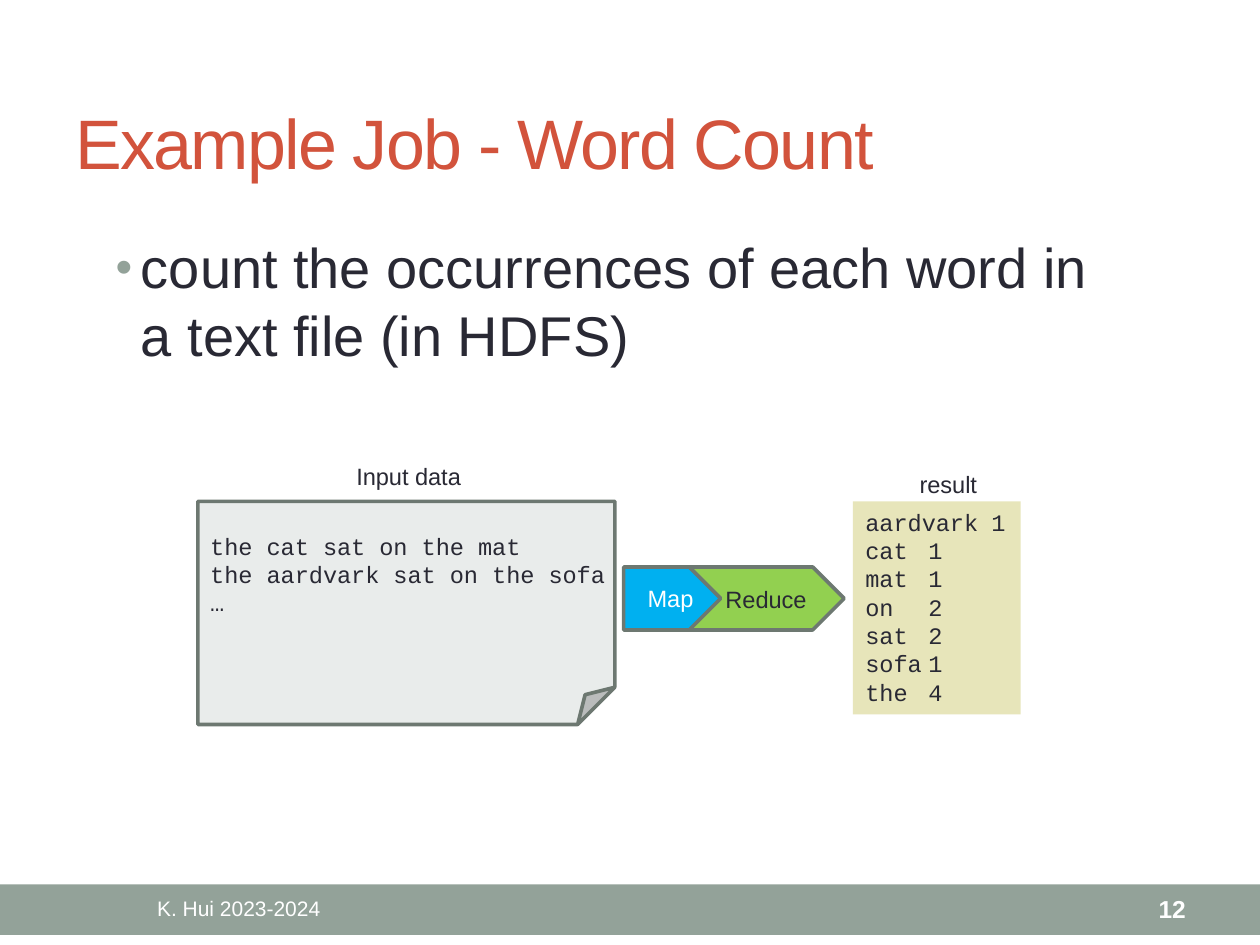
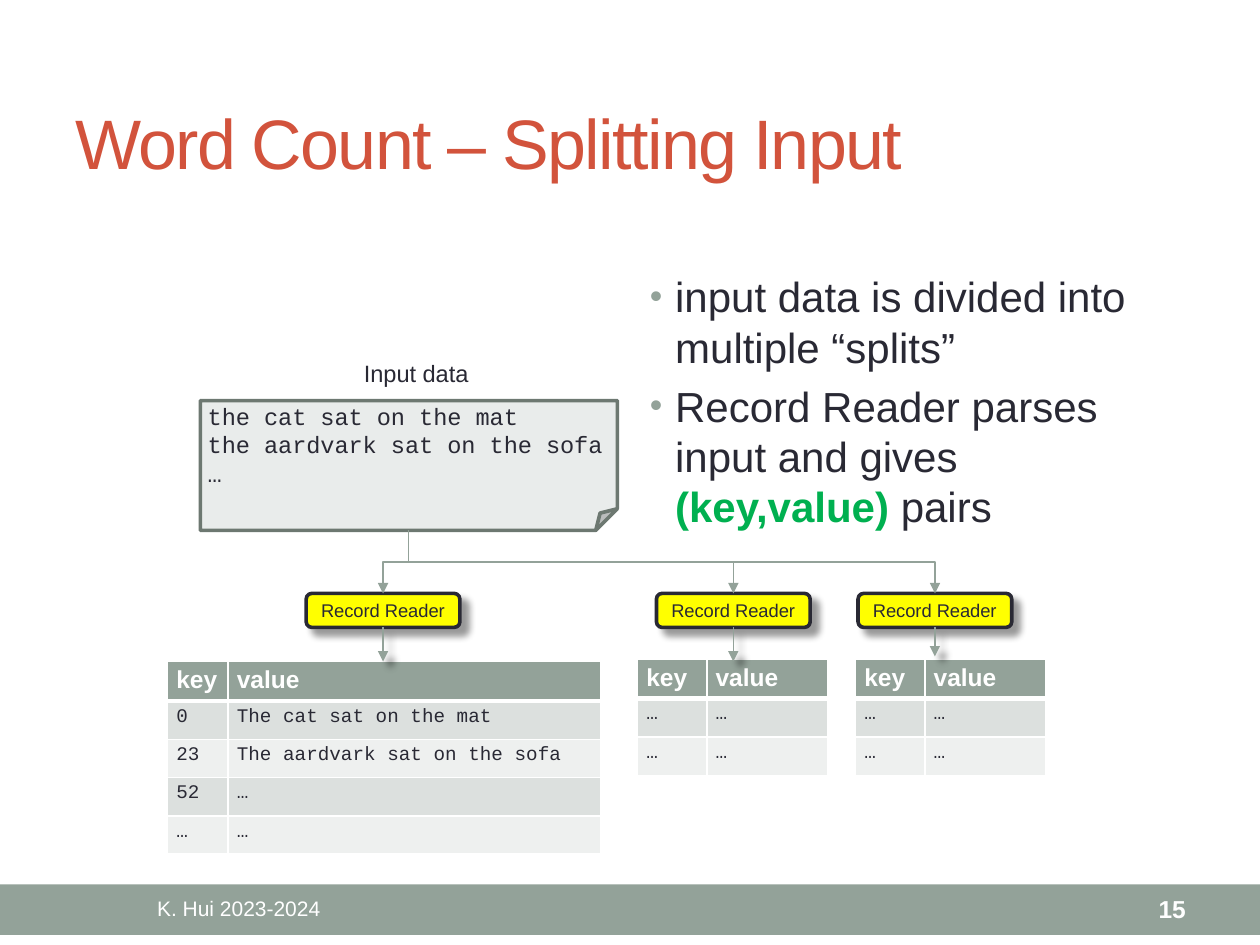
from lxml import etree
from pptx import Presentation
from pptx.dml.color import RGBColor
from pptx.enum.shapes import MSO_CONNECTOR, MSO_SHAPE
from pptx.enum.text import MSO_ANCHOR, PP_ALIGN
from pptx.oxml.ns import qn
from pptx.util import Inches, Pt

LEFT, CENTER, RIGHT = PP_ALIGN.LEFT, PP_ALIGN.CENTER, PP_ALIGN.RIGHT
TOP, MIDDLE = MSO_ANCHOR.TOP, MSO_ANCHOR.MIDDLE
STRAIGHT, ELBOW = MSO_CONNECTOR.STRAIGHT, MSO_CONNECTOR.ELBOW
RECTANGLE, ROUNDED = MSO_SHAPE.RECTANGLE, MSO_SHAPE.ROUNDED_RECTANGLE
FOLDED, PENTAGON, CHEVRON = MSO_SHAPE.FOLDED_CORNER, MSO_SHAPE.PENTAGON, MSO_SHAPE.CHEVRON

COLORS = {
    "sage": "93A299", "outline": "6D7871", "paper": "E9ECEB", "title": "D2533C",
    "ink": "292934", "white": "FFFFFF", "result": "E7E5BA", "map": "00B0F0",
    "reduce": "92D050", "reader": "FFFF00", "accent": "00B050",
    "row_dark": "DCE0DE", "row_light": "EEF0EF", "shadow": "000000",
}
SANS, MONO = "Arial", "Courier New"
LABEL_SIZE = 13.5
OUTLINE_WIDTH = 2.08
INPUT_LINES = ["the cat sat on the mat", "the aardvark sat on the sofa", "…"]
WORD_COUNTS = {"aardvark": 1, "cat": 1, "mat": 1, "on": 2, "sat": 2, "sofa": 1, "the": 4}


def rgb(name):
    """Return the named colour."""
    return RGBColor.from_string(COLORS[name])


def add_xml(parent, tag, **attributes):
    """Append a drawing element to a parent and return it."""
    return etree.SubElement(parent, qn(tag), attributes)


def style_font(font, size, color="ink", name=SANS, bold=False):
    """Set size, colour, typeface and weight of a font."""
    font.size, font.name, font.bold = Pt(size), name, bold
    font.color.rgb = rgb(color)


def write(shape, lines, size, color="ink", name=SANS, bold=False,
          align=LEFT, anchor=TOP, wrap=True):
    """Fill a shape with styled lines of text."""
    frame = shape.text_frame
    frame.word_wrap, frame.vertical_anchor = wrap, anchor
    frame.text = "\n".join(lines)
    for para in frame.paragraphs:
        para.alignment = align
        for span in para.runs:
            style_font(span.font, size, color, name, bold)


def add_text(page, box, lines, size, **style):
    """Add a text box."""
    shape = page.shapes.add_textbox(*map(Inches, box))
    write(shape, lines, size, **style)
    return shape


def add_figure(page, kind, box, fill, line=None):
    """Add a filled preset shape with an optional outline."""
    shape = page.shapes.add_shape(kind, *map(Inches, box))
    shape.shadow.inherit = False
    shape.fill.solid()
    shape.fill.fore_color.rgb = rgb(fill)
    if line:
        shape.line.color.rgb = rgb(line)
        shape.line.width = Pt(OUTLINE_WIDTH)
    else:
        shape.line.fill.background()
    return shape


def add_shadow(properties):
    """Give shape properties a soft shadow to the lower right."""
    for effects in properties.findall(qn("a:effectLst")):
        properties.remove(effects)
    effects = add_xml(properties, "a:effectLst")
    shadow = add_xml(effects, "a:outerShdw", blurRad=str(Pt(4)), dist=str(Pt(6)),
                     dir="2700000", algn="tl", rotWithShape="0")
    color = add_xml(shadow, "a:srgbClr", val=COLORS["shadow"])
    add_xml(color, "a:alpha", val="40000")


def add_arrow(page, kind, start, end):
    """Add a thin connector with a triangle at its end."""
    arrow = page.shapes.add_connector(kind, *map(Inches, (*start, *end)))
    arrow.line.color.rgb = rgb("sage")
    arrow.line.width = Pt(0.75)
    add_xml(arrow.line._ln, "a:tailEnd", type="triangle")
    return arrow


def add_branch(page, start, end):
    """Add an elbow arrow that leaves downwards, runs sideways and drops."""
    (x1, y1), (x2, y2) = start, end
    middle_x, middle_y = (x1 + x2) / 2, (y1 + y2) / 2
    side = 1 if x2 > x1 else -1
    half_width, half_height = side * (y2 - y1) / 2, abs(x2 - x1) / 2
    arrow = add_arrow(page, ELBOW, (middle_x + half_width, middle_y - half_height),
                      (middle_x - half_width, middle_y + half_height))
    properties = arrow._element.spPr
    properties.find(qn("a:xfrm")).set("rot", str((180 + 90 * side) * 60000))
    add_xml(properties, "a:effectLst")


def add_bullets(page, box, bullets, size):
    """Add a bulleted list whose items are lists of (text, accented) pieces."""
    frame = page.shapes.add_textbox(*map(Inches, box)).text_frame
    frame.word_wrap = True
    for number, pieces in enumerate(bullets):
        para = frame.add_paragraph() if number else frame.paragraphs[0]
        properties = para._p.get_or_add_pPr()
        properties.set("marL", str(Inches(0.2)))
        properties.set("indent", str(Inches(-0.2)))
        add_xml(add_xml(properties, "a:buClr"), "a:srgbClr", val=COLORS["sage"])
        add_xml(properties, "a:buSzPct", val="85000")
        add_xml(properties, "a:buFont", typeface=SANS)
        add_xml(properties, "a:buChar", char="•")
        if number:
            para.space_before = Pt(size * 0.2)
        for text, accented in pieces:
            span = para.add_run()
            span.text = text
            style_font(span.font, size, "accent" if accented else "ink", bold=accented)


def add_page(deck, title, number):
    """Add a slide with its title, footer band, author and page number."""
    page = deck.slides.add_slide(deck.slide_layouts[6])
    add_figure(page, RECTANGLE, (0, 7.02, 10, 0.4), "sage")
    heading = add_text(page, (0.5, 0.58, 9, 1.08), [title], 40, color="title", anchor=MIDDLE)
    heading.text_frame.paragraphs[0].runs[0]._r.get_or_add_rPr().set("spc", "-100")
    add_text(page, (0.5, 7.03, 2.79, 0.36), ["K. Hui 2023-2024"], 12,
             color="white", align=CENTER, anchor=MIDDLE)
    add_text(page, (8.34, 7.03, 1.17, 0.36), [str(number)], 14,
             color="white", bold=True, align=RIGHT, anchor=MIDDLE)
    return page


def add_input_file(page, box, label_offset, text_offset):
    """Draw the input file with its label and lines placed relative to its corner."""
    left, top = box[:2]
    add_figure(page, FOLDED, box, "paper", "outline")
    for offset, size, lines, name in (
            (label_offset, (1.04, 0.33), ["Input data"], SANS),
            (text_offset, (3.39, 0.78), INPUT_LINES, MONO)):
        add_text(page, (left + offset[0], top + offset[1], *size), lines,
                 LABEL_SIZE, name=name, wrap=False)


def add_map_reduce(page, left, top):
    """Draw the Map and Reduce steps as interlocking arrows."""
    map_step = add_figure(page, PENTAGON, (left, top, 0.87, 0.5), "map", "outline")
    write(map_step, ["Map"], LABEL_SIZE, color="white", align=CENTER, anchor=MIDDLE)
    add_figure(page, CHEVRON, (left + 0.52, top, 1.23, 0.5), "reduce", "outline")
    add_text(page, (left + 0.71, top + 0.09, 0.87, 0.33), ["Reduce"], LABEL_SIZE)


def add_result(page, left, top):
    """Draw the list of word counts with its label."""
    add_text(page, (left + 0.43, top - 0.3, 0.66, 0.33), ["result"], LABEL_SIZE, wrap=False)
    panel = add_figure(page, RECTANGLE, (left, top, 1.33, 1.69), "result")
    lines = [f"{word}\t{count}" for word, count in WORD_COUNTS.items()]
    write(panel, lines, LABEL_SIZE, name=MONO, wrap=False)


def add_borders(cell, row):
    """Draw white cell borders, heavier below the header row."""
    properties = cell._tc.get_or_add_tcPr()
    heavy = {0: "a:lnB", 1: "a:lnT"}.get(row)
    for place, tag in enumerate(("a:lnL", "a:lnR", "a:lnT", "a:lnB")):
        border = etree.Element(qn(tag), w=str(Pt(3 if tag == heavy else 1)))
        add_xml(add_xml(border, "a:solidFill"), "a:srgbClr", val=COLORS["white"])
        properties.insert(place, border)


def add_pairs(page, box, widths, records):
    """Add a table of key and value pairs."""
    rows = [("key", "value"), *records]
    table = page.shapes.add_table(len(rows), len(widths), *map(Inches, box)).table
    for column, width in zip(table.columns, widths):
        column.width = Inches(width)
    for row, values in enumerate(rows):
        for column, value in enumerate(values):
            cell = table.cell(row, column)
            cell.margin_left = cell.margin_right = Inches(0.07)
            cell.margin_top = cell.margin_bottom = Inches(0.04)
            cell.text = value
            font = cell.text_frame.paragraphs[0].runs[0].font
            if row:
                style_font(font, 11, name=MONO)
                fill = "row_dark" if row % 2 else "row_light"
            else:
                style_font(font, 14, "white", bold=True)
                fill = "sage"
            cell.fill.solid()
            cell.fill.fore_color.rgb = rgb(fill)
            add_borders(cell, row)


def add_reader(page, center, top, arrow_end):
    """Draw a record reader with the arrow to its table."""
    reader = add_figure(page, ROUNDED, (center - 0.61, top, 1.22, 0.27), "reader", "ink")
    add_shadow(reader._element.spPr)
    write(reader, ["Record Reader"], 10.5, align=CENTER, anchor=MIDDLE, wrap=False)
    arrow = add_arrow(page, STRAIGHT, (center, top + 0.27), (center, arrow_end))
    arrow.begin_connect(reader, 2)
    add_shadow(arrow._element.spPr)


def build_word_count(deck):
    """Build the slide that introduces the word count job."""
    page = add_page(deck, "Example Job - Word Count", 12)
    add_bullets(page, (0.82, 1.8, 8.13, 1.47),
                [[("count the occurrences of each word in a text file (in HDFS)", False)]], 32)
    add_input_file(page, (1.57, 3.98, 3.31, 1.77), (1.16, -0.36), (0, 0.19))
    add_map_reduce(page, 4.95, 4.5)
    add_result(page, 6.77, 3.98)


def build_splitting(deck):
    """Build the slide that splits the input among record readers."""
    page = add_page(deck, "Word Count – Splitting Input", 15)
    add_bullets(page, (5.06, 2.1, 4.18, 2.21), [
        [("input data is divided into multiple “splits”", False)],
        [("Record Reader parses input and gives ", False),
         ("(key,value) ", True), ("pairs", False)],
    ], 24)
    add_input_file(page, (1.59, 3.18, 3.31, 1.03), (1.2, -0.38), (-0.04, -0.04))
    sentences = [("0", "The cat sat on the mat"), ("23", "The aardvark sat on the sofa"),
                 ("52", "…"), ("…", "…")]
    add_pairs(page, (1.33, 5.25, 3.44, 1.52), (0.48, 2.96), sentences)
    for left in (5.06, 6.79):
        add_pairs(page, (left, 5.23, 1.51, 0.92), (0.55, 0.96), [("…", "…")] * 2)
    for center, arrow_end in ((3.04, 5.25), (5.82, 5.25), (7.42, 5.21)):
        add_reader(page, center, 4.71, arrow_end)
        add_branch(page, (3.24, 4.21), (center, 4.71))


def main():
    """Build and save the deck."""
    deck = Presentation()
    deck.slide_width, deck.slide_height = Inches(10), Inches(7.5)
    build_word_count(deck)
    build_splitting(deck)
    deck.save("out.pptx")


if __name__ == "__main__":
    main()
